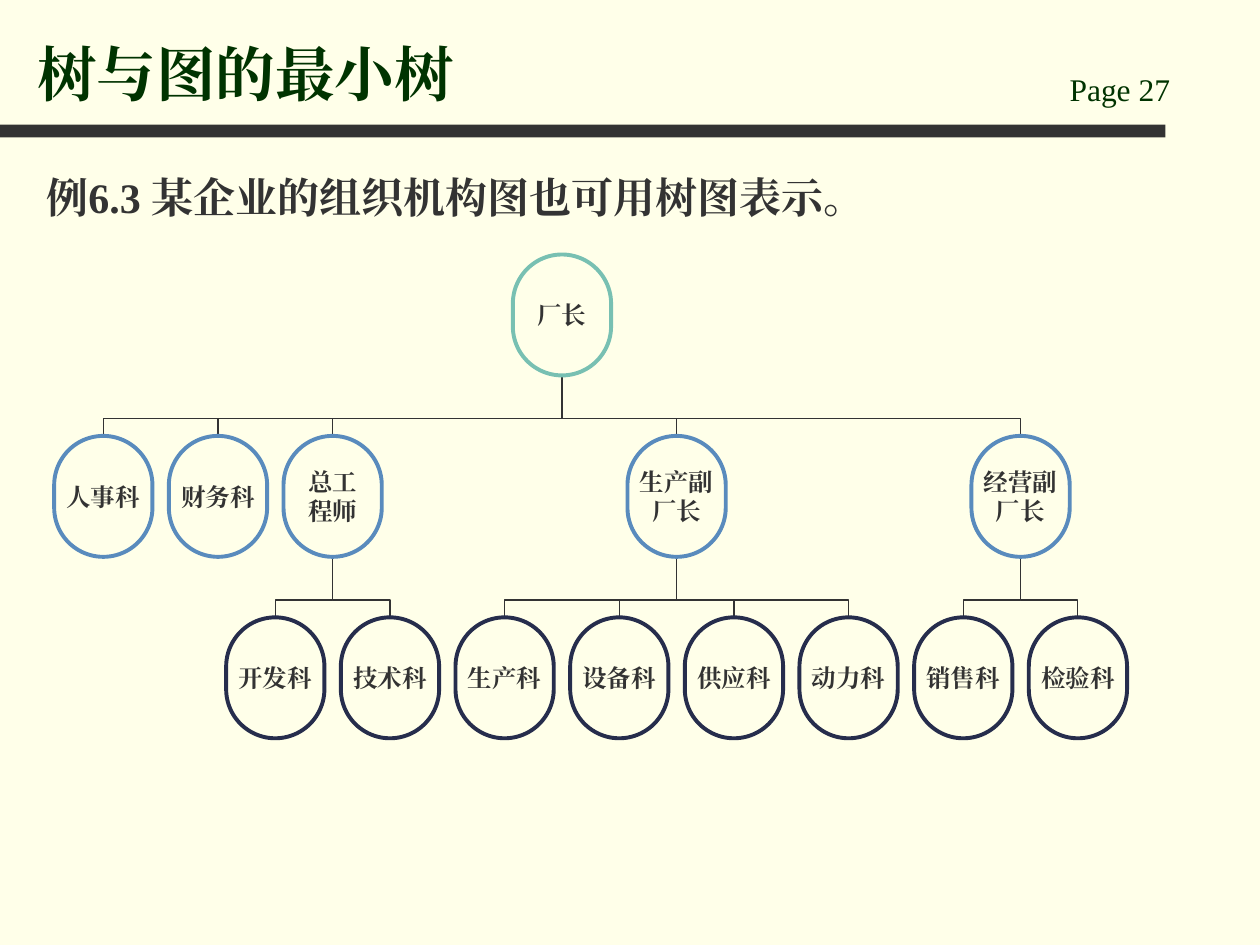
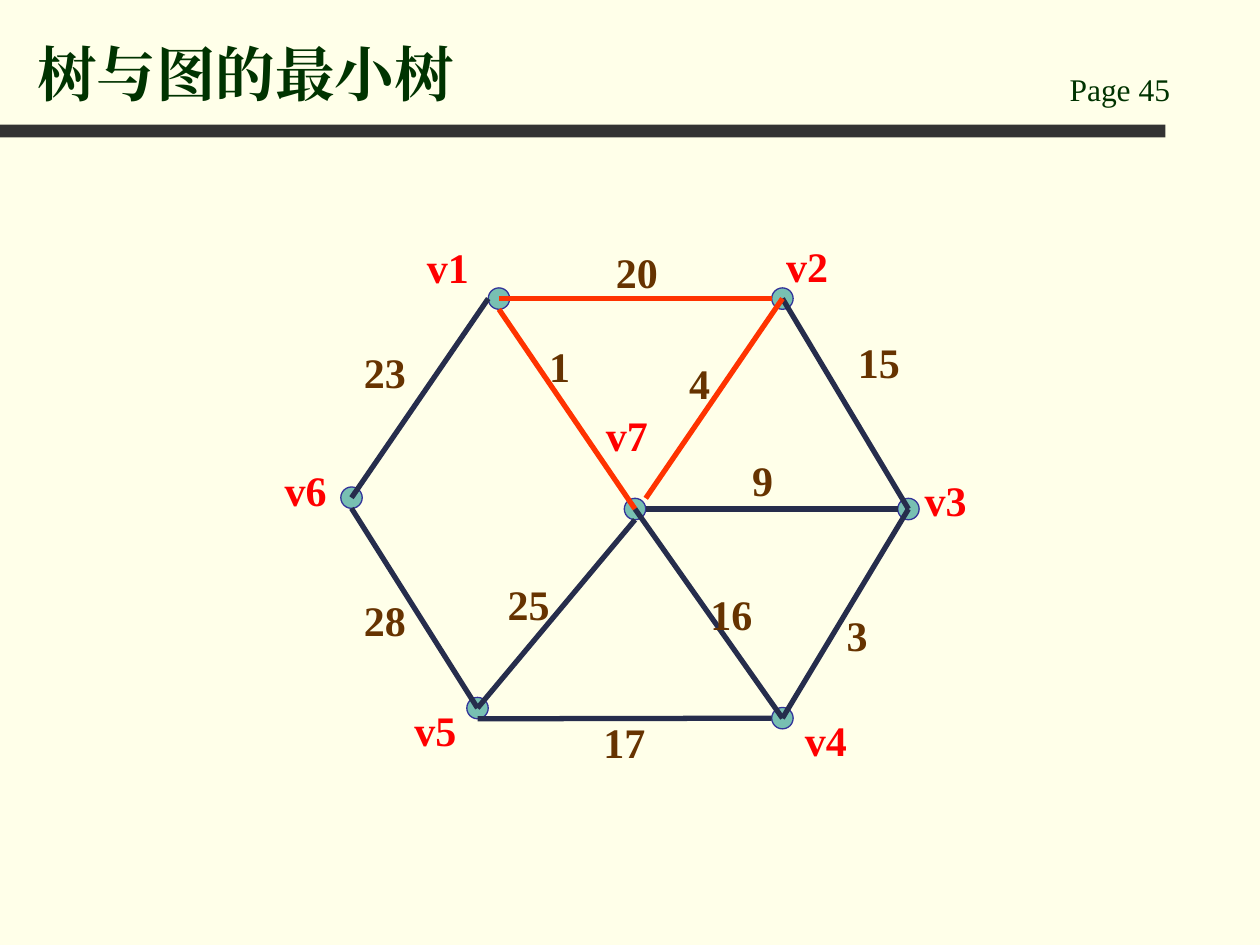
import lxml.etree
import pptx
import pptx.dml.color
import pptx.enum.shapes
import pptx.enum.text
import pptx.oxml.ns
import pptx.util

Inches = pptx.util.Inches
Pt = pptx.util.Pt
RGBColor = pptx.dml.color.RGBColor
MSO_SHAPE = pptx.enum.shapes.MSO_SHAPE
MSO_CONNECTOR = pptx.enum.shapes.MSO_CONNECTOR
MSO_ANCHOR = pptx.enum.text.MSO_ANCHOR
PP_ALIGN = pptx.enum.text.PP_ALIGN
qn = pptx.oxml.ns.qn

FONT = "Times New Roman"
CREAM = RGBColor(0xFF, 0xFF, 0xE9)
CHARCOAL = RGBColor(0x33, 0x33, 0x33)
DARK_GREEN = RGBColor(0x00, 0x33, 0x00)
TEAL = RGBColor(0x78, 0xC0, 0xB2)
BLUE = RGBColor(0x59, 0x8B, 0xBD)
NAVY = RGBColor(0x26, 0x2D, 0x4C)
INDIGO = RGBColor(0x33, 0x33, 0x99)
ORANGE = RGBColor(0xFF, 0x33, 0x00)
RED = RGBColor(0xFF, 0x00, 0x00)
BROWN = RGBColor(0x66, 0x33, 0x00)

TITLE = "树与图的最小树"
EXAMPLE = "例6.3 某企业的组织机构图也可用树图表示。"

# Organisation tree: (lines of the label, children), a leaf holds its column instead
ORGANISATION = (["厂长"], [
    (["人事科"], 0),
    (["财务科"], 1),
    (["总工", "程师"], [(["开发科"], 1.5), (["技术科"], 2.5)]),
    (["生产副", "厂长"], [(["生产科"], 3.5), (["设备科"], 4.5),
                      (["供应科"], 5.5), (["动力科"], 6.5)]),
    (["经营副", "厂长"], [(["销售科"], 7.5), (["检验科"], 8.5)]),
])
LEVEL_COLORS = [TEAL, BLUE, NAVY]
FIRST_CENTER, COLUMN_STEP = 0.82, 0.91
FIRST_TOP, LEVEL_STEP = 2.02, 1.44
UNIT_WIDTH, UNIT_HEIGHT = 0.78, 0.96
LINK_GAP = 0.01
ELBOW_POSITION = 27800

# Vertex: centre, then left and top of its label
VERTICES = {
    "v1": ((3.96, 2.37), (3.29, 1.87)),
    "v2": ((6.21, 2.37), (6.14, 1.86)),
    "v3": ((7.21, 4.04), (7.24, 3.72)),
    "v4": ((6.21, 5.70), (6.29, 5.62)),
    "v5": ((3.79, 5.62), (3.19, 5.54)),
    "v6": ((2.79, 3.95), (2.16, 3.64)),
    "v7": ((5.04, 4.04), (4.71, 3.20)),
}
DIAMETER = 0.17
ANCHORS = {"center": (0, 0), "left": (-1, 0), "right": (1, 0),
           "top right": (1, -1), "bottom": (0, 1)}
# Edge: vertex and anchor at each end, weight, left and top of the weight, colour
EDGES = [
    ("v1", "center", "v2", "left", "20", (4.79, 1.91), ORANGE),
    ("v1", "left", "v6", "center", "23", (2.79, 2.70), NAVY),
    ("v2", "center", "v3", "center", "15", (6.71, 2.62), NAVY),
    ("v1", "bottom", "v7", "center", "1", (4.26, 2.65), ORANGE),
    ("v2", "center", "v7", "top right", "4", (5.37, 2.79), ORANGE),
    ("v7", "right", "v3", "left", "9", (5.87, 3.56), NAVY),
    ("v6", "bottom", "v5", "center", "28", (2.79, 4.67), NAVY),
    ("v7", "bottom", "v5", "center", "25", (3.93, 4.54), NAVY),
    ("v7", "center", "v4", "center", "16", (5.54, 4.62), NAVY),
    ("v5", "bottom", "v4", "left", "17", (4.69, 5.64), NAVY),
    ("v3", "center", "v4", "center", "3", (6.62, 4.79), NAVY),
]


def add_run(paragraph, text, size, color, bold=True):
    run = paragraph.add_run()
    run.text = text
    run.font.name = FONT
    run.font.size = Pt(size)
    run.font.bold = bold
    run.font.color.rgb = color
    east_asian = lxml.etree.Element(qn("a:ea"), typeface=FONT)
    run.font._element.find(qn("a:latin")).addnext(east_asian)


def add_text(slide, box, text, size, color, bold=True, anchor=MSO_ANCHOR.TOP):
    frame = slide.shapes.add_textbox(*map(Inches, box)).text_frame
    frame.word_wrap = True
    frame.vertical_anchor = anchor
    add_run(frame.paragraphs[0], text, size, color, bold)
    return frame.paragraphs[0]


def add_preset(slide, kind, box, fill=None, line=None, width=0.75):
    shape = slide.shapes.add_shape(kind, *map(Inches, box))
    shape.shadow.inherit = False
    if fill is None:
        shape.fill.background()
    else:
        shape.fill.solid()
        shape.fill.fore_color.rgb = fill
    if line is None:
        shape.line.fill.background()
    else:
        shape.line.color.rgb = line
        shape.line.width = Pt(width)
    return shape


def add_line(slide, kind, start, end, color, width):
    connector = slide.shapes.add_connector(kind, *map(Inches, (*start, *end)))
    connector.line.color.rgb = color
    connector.line.width = Pt(width)
    lxml.etree.SubElement(connector._element.spPr, qn("a:effectLst"))
    return connector


def add_slide(presentation, page):
    """Add a slide with the shared title, band and page number."""
    slide = presentation.slides.add_slide(presentation.slide_layouts[6])
    add_preset(slide, MSO_SHAPE.RECTANGLE, (0, 0.99, 9.25, 0.1), CHARCOAL)
    add_text(slide, (8.39, 0.51, 1.42, 0.4), f"Page {page}", 18, DARK_GREEN, bold=False)
    add_text(slide, (0.2, 0.13, 8.03, 0.78), TITLE, 34, DARK_GREEN, anchor=MSO_ANCHOR.BOTTOM)
    return slide


def column_of(unit):
    """Leaves name their column; a parent sits midway over its children."""
    children = unit[1]
    if not isinstance(children, list):
        return children
    return (column_of(children[0]) + column_of(children[-1])) / 2


def center_of(unit):
    return FIRST_CENTER + COLUMN_STEP * column_of(unit)


def add_elbow(slide, child_x, child_y, parent_x, parent_y):
    """Link a child's top to its parent's bottom, leaving the child vertically.

    The preset starts horizontally, so it is laid out on its side and turned.
    """
    middle_x, middle_y = (child_x + parent_x) / 2, (child_y + parent_y) / 2
    half_rise, half_run = (child_y - parent_y) / 2, abs(child_x - parent_x) / 2
    side = 1 if child_x > parent_x else -1
    connector = add_line(slide, MSO_CONNECTOR.ELBOW,
                         (middle_x + side * half_rise, middle_y - half_run),
                         (middle_x - side * half_rise, middle_y + half_run),
                         CHARCOAL, 0.75)
    properties = connector._element.spPr
    properties.find(qn("a:xfrm")).set("rot", str((90 if side > 0 else 270) * 60000))
    guides = properties.find(qn("a:prstGeom")).find(qn("a:avLst"))
    lxml.etree.SubElement(guides, qn("a:gd"), name="adj1", fmla=f"val {ELBOW_POSITION}")


def add_unit(slide, unit, level=0):
    """Draw a unit of the organisation with everything below it."""
    lines, children = unit
    center, top = center_of(unit), FIRST_TOP + LEVEL_STEP * level
    if isinstance(children, list):
        for child in children:
            add_elbow(slide, center_of(child), top + LEVEL_STEP - LINK_GAP,
                      center, top + UNIT_HEIGHT + LINK_GAP)
            add_unit(slide, child, level + 1)
    shape = add_preset(slide, MSO_SHAPE.ROUNDED_RECTANGLE,
                       (center - UNIT_WIDTH / 2, top, UNIT_WIDTH, UNIT_HEIGHT),
                       line=LEVEL_COLORS[level], width=2.25)
    shape.adjustments[0] = 0.5
    frame = shape.text_frame
    frame.margin_left = frame.margin_right = frame.margin_top = frame.margin_bottom = 0
    frame.word_wrap = False
    frame.vertical_anchor = MSO_ANCHOR.MIDDLE
    for index, line in enumerate(lines):
        paragraph = frame.add_paragraph() if index else frame.paragraphs[0]
        paragraph.alignment = PP_ALIGN.CENTER
        add_run(paragraph, line, 14, CHARCOAL)


def anchor_point(vertex, anchor):
    (x, y), _ = VERTICES[vertex]
    across, down = ANCHORS[anchor]
    return x + across * DIAMETER / 2, y + down * DIAMETER / 2


def add_label(slide, position, text, color):
    add_text(slide, (*position, 0.58, 0.5), text, 24, color)


def build_organisation_slide(presentation):
    slide = add_slide(presentation, 27)
    add_text(slide, (0.27, 1.23, 8.9, 0.63), EXAMPLE, 24, CHARCOAL).line_spacing = 1.2
    add_unit(slide, ORGANISATION)


def build_graph_slide(presentation):
    slide = add_slide(presentation, 45)
    for (x, y), _ in VERTICES.values():
        add_preset(slide, MSO_SHAPE.OVAL,
                   (x - DIAMETER / 2, y - DIAMETER / 2, DIAMETER, DIAMETER), TEAL, INDIGO)
    for start, start_anchor, end, end_anchor, _, _, color in EDGES:
        add_line(slide, MSO_CONNECTOR.STRAIGHT, anchor_point(start, start_anchor),
                 anchor_point(end, end_anchor), color, 3)
    for name, (_, position) in VERTICES.items():
        add_label(slide, position, name, RED)
    for *_, weight, position, _ in EDGES:
        add_label(slide, position, weight, BROWN)


def main():
    presentation = pptx.Presentation()
    presentation.slide_width = Inches(10)
    presentation.slide_height = Inches(7.5)
    background = presentation.slide_master.background.fill
    background.solid()
    background.fore_color.rgb = CREAM
    build_organisation_slide(presentation)
    build_graph_slide(presentation)
    presentation.save("out.pptx")


if __name__ == "__main__":
    main()
